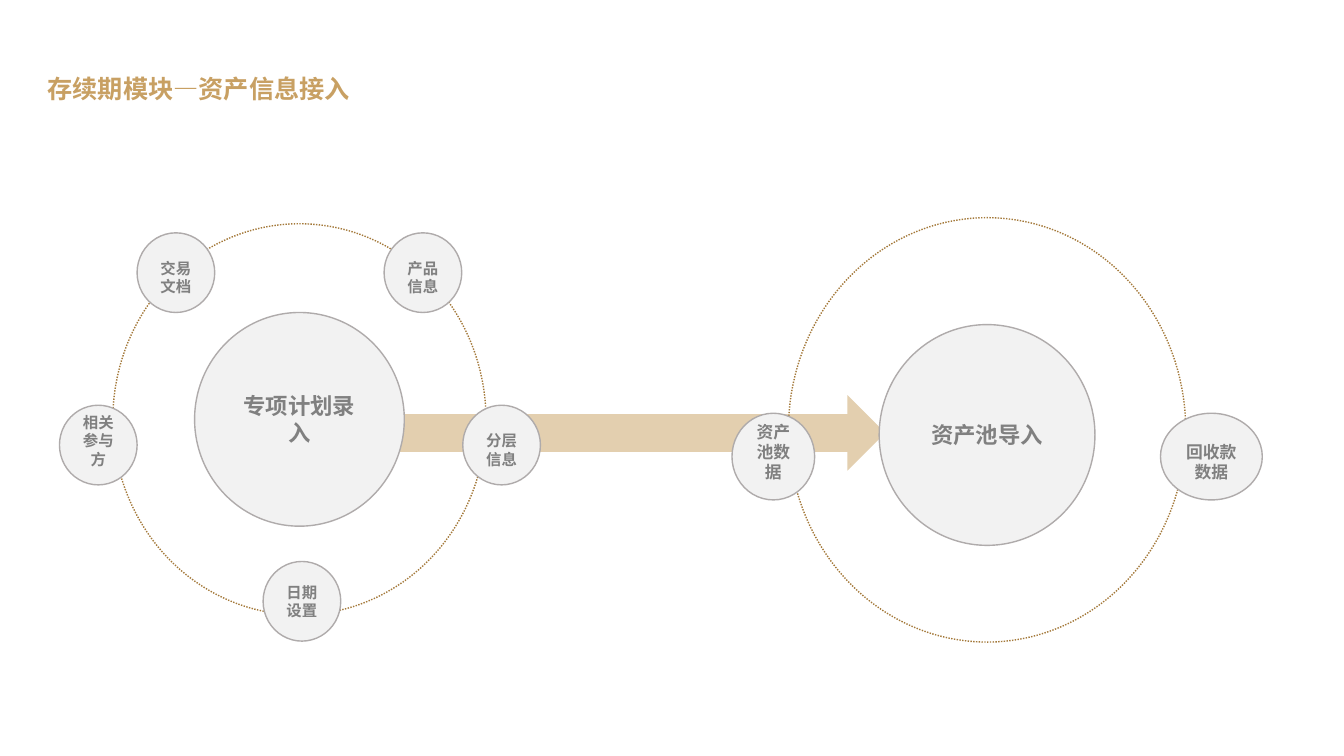
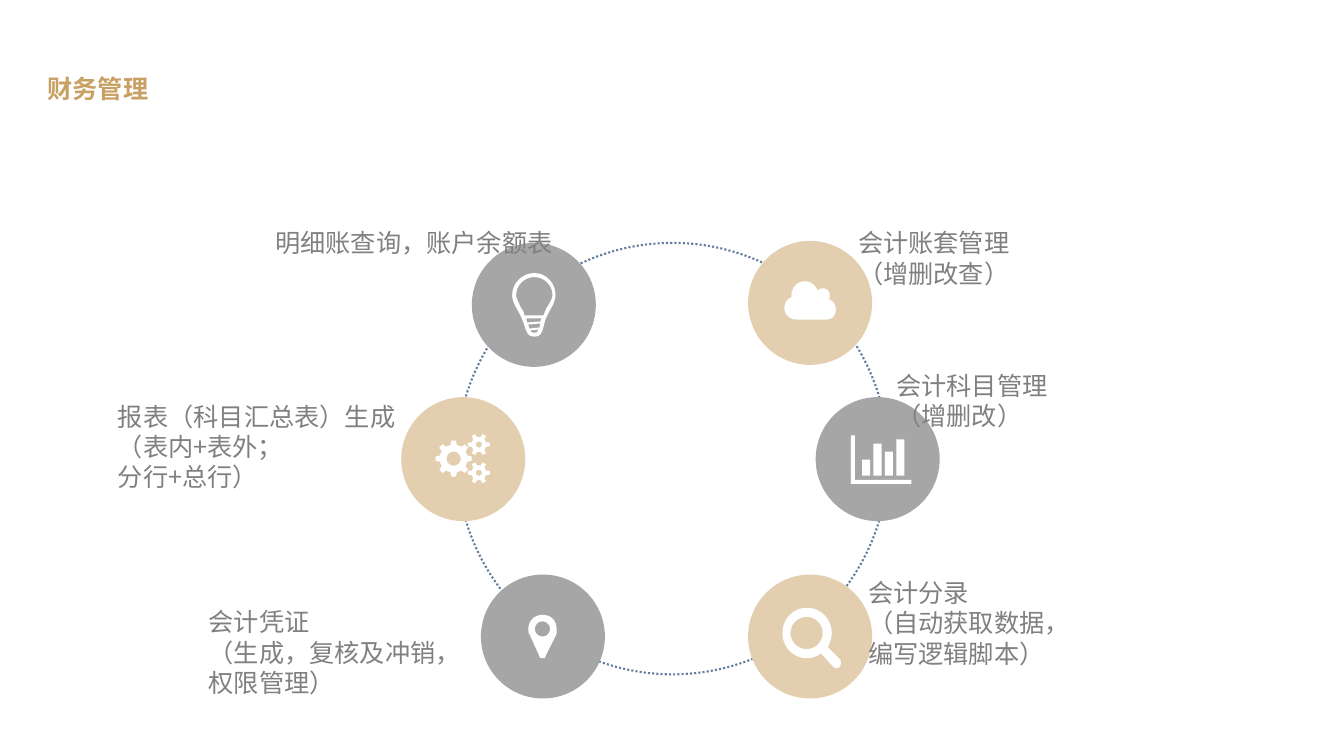
import math

import lxml.etree
import pptx
import pptx.dml.color
import pptx.enum.dml
import pptx.enum.shapes
import pptx.enum.text
import pptx.oxml.ns
import pptx.util

PX = 9144
FONT = "Noto Sans CJK SC"
GOLD, SAND, BRONZE, BLUE = "C8A063", "E3CFAF", "A4793A", "657D9D"
TEXT, GREY, PALE, EDGE, WHITE = "808080", "A6A6A6", "F2F2F2", "AFABAB", "FFFFFF"
DISC = 123
SHAPE = pptx.enum.shapes.MSO_SHAPE
ANCHOR = pptx.enum.text.MSO_ANCHOR
ALIGN = pptx.enum.text.PP_ALIGN
AUTO = pptx.enum.text.MSO_AUTO_SIZE


def px(*values):
    """Turn pixel lengths into EMU."""
    return [pptx.util.Emu(round(v * PX)) for v in values]


def rgb(color):
    """Turn a hex string into a colour."""
    return pptx.dml.color.RGBColor.from_string(color)


def write(tf, text, size, color, bold=False, align=ALIGN.LEFT):
    """Fill a text frame and format every run."""
    tf.text = text
    for p in tf.paragraphs:
        p.alignment = align
        for r in p.runs:
            r.font.name = FONT
            r.font.size = pptx.util.Pt(size)
            r.font.bold = bold
            r.font.color.rgb = rgb(color)
            ea = lxml.etree.SubElement(r._r.get_or_add_rPr(), pptx.oxml.ns.qn("a:ea"))
            ea.set("typeface", FONT)


def paint(sp, fill=None, line=None, width=1, dotted=False):
    """Set the fill and outline of a shape and drop its shadow."""
    sp.shadow.inherit = False
    if fill:
        sp.fill.solid()
        sp.fill.fore_color.rgb = rgb(fill)
    else:
        sp.fill.background()
    if line:
        sp.line.color.rgb = rgb(line)
        sp.line.width = pptx.util.Pt(width)
        if dotted:
            sp.line.dash_style = pptx.enum.dml.MSO_LINE.ROUND_DOT
    else:
        sp.line.fill.background()


def add_shape(shapes, kind, box, **style):
    """Add a painted preset shape."""
    sp = shapes.add_shape(kind, *px(*box))
    paint(sp, **style)
    return sp


def titled_slide(prs, title):
    """Add a title-only slide with the shared title style."""
    s = prs.slides.add_slide(prs.slide_layouts[5])
    sp = s.shapes.title
    sp.left, sp.top, sp.width, sp.height = px(37, 63, 1271, 45)
    tf = sp.text_frame
    write(tf, title, 18, GOLD, bold=True)
    tf.word_wrap = True
    tf.auto_size = AUTO.NONE
    tf.vertical_anchor = ANCHOR.TOP
    tf.paragraphs[0].line_spacing = 1.15
    return s


def bubble(shapes, box, text, size, anchor):
    """Add a pale labelled circle."""
    sp = add_shape(shapes, SHAPE.OVAL, box, fill=PALE, line=EDGE)
    write(sp.text_frame, text, size, TEXT, bold=True, align=ALIGN.CENTER)
    sp.text_frame.word_wrap = True
    sp.text_frame.vertical_anchor = anchor


def hub(s, box, core, core_text, satellites, size):
    """Draw a dotted ring with a core circle and satellites around it."""
    x, y = box[:2]
    shapes = s.shapes.add_group_shape().shapes
    add_shape(shapes, SHAPE.OVAL, box, line=BRONZE, dotted=True)
    parts = [(core_text, core, 16, ANCHOR.MIDDLE)]
    parts += [(text, place, size, anchor) for text, place, anchor in satellites]
    for text, (dx, dy, w, h), pt, anchor in parts:
        bubble(shapes, (x + dx, y + dy, w, h), text, pt, anchor)


def outline(start, *segments):
    """Trace points along lines (2 numbers) and Bézier curves (6 numbers)."""
    points = [start]
    for seg in segments:
        if len(seg) == 2:
            points.append(seg)
            continue
        knots = [points[-1], seg[:2], seg[2:4], seg[4:]]
        for step in range(1, 11):
            t = step / 10
            weights = ((1 - t) ** 3, 3 * t * (1 - t) ** 2, 3 * t * t * (1 - t), t ** 3)
            points.append(tuple(sum(w * k[i] for w, k in zip(weights, knots)) for i in (0, 1)))
    return points


def polar(cx, cy, r, angle):
    """Return the point at an angle on a circle."""
    return cx + r * math.cos(angle), cy + r * math.sin(angle)


def circle(cx, cy, r):
    """Trace a circle."""
    return [polar(cx, cy, r, math.tau * i / 48) for i in range(48)]


def gear(cx, cy, r, root, hole, teeth):
    """Trace a cog wheel and its hole."""
    pitch = math.tau / teeth
    profile = ((-0.28, root), (-0.16, r), (0.16, r), (0.28, root))
    rim = [polar(cx, cy, radius, (i + turn) * pitch)
           for i in range(teeth) for turn, radius in profile]
    return [rim, circle(cx, cy, hole)]


def bulb():
    """Trace a light bulb."""
    glass = outline((62, 30), (50, 30, 40, 40, 40, 52), (40, 60, 47, 68, 50, 76),
                    (54, 86, 54, 93, 62, 93), (70, 93, 70, 87, 73, 76),
                    (76, 68, 83, 60, 83, 52), (83, 40, 74, 30, 62, 30))
    inside = outline((71, 72), (52, 72), (52, 70, 51, 67, 49, 65), (47, 60, 44, 55, 44, 52),
                     (44, 42, 52, 34, 62, 34), (72, 34, 80, 42, 80, 52),
                     (80, 55, 77, 60, 74, 65), (73, 67, 72, 70, 71, 72))
    threads = [[(55, 79), (54, 75), (69, 75), (68, 78)],
               [(57, 85), (56, 81), (68, 80), (67, 84)],
               outline((62, 89), (60, 89, 59, 89, 58, 87), (66, 86), (65, 89, 64, 89, 62, 89))]
    return [glass, inside, *threads]


def pin():
    """Trace a map pin."""
    drop = outline((75, 59), (64, 81), (64, 83, 63, 83, 61, 83), (60, 83, 58, 83, 58, 81),
                   (48, 59), (47, 58, 47, 56, 47, 54), (47, 46, 53, 40, 61, 40),
                   (70, 40, 75, 46, 75, 54), (75, 56, 75, 58, 75, 59))
    return [drop, circle(61, 54, 7.5)]


def cloud():
    """Trace a cloud."""
    return [outline((78, 78), (48, 78), (41, 78, 36, 73, 36, 66), (36, 62, 39, 57, 43, 56),
                    (43, 54), (43, 46, 49, 40, 56, 40), (62, 40, 67, 44, 69, 49),
                    (71, 48, 72, 47, 74, 47), (78, 47, 81, 50, 81, 54),
                    (81, 56, 81, 57, 80, 58), (84, 59, 87, 63, 87, 68),
                    (87, 74, 83, 78, 78, 78))]


def gears():
    """Trace one large and two small cog wheels."""
    wheels = [gear(52, 61, 18, 14, 7, 8)]
    wheels += [gear(77, cy, 11, 7.5, 3, 6) for cy in (47, 75)]
    return sum(wheels, [])


def magnifier():
    """Trace a magnifying glass."""
    body = outline((88, 93), (86, 93, 85, 92, 84, 91), (72, 78), (69, 81, 64, 83, 58, 83),
                   (45, 83, 34, 72, 34, 58), (34, 44, 45, 33, 58, 33),
                   (72, 33, 83, 44, 83, 58), (83, 63, 81, 68, 79, 72), (91, 84),
                   (92, 85, 92, 87, 92, 88), (92, 91, 90, 93, 88, 93))
    return [body, circle(58, 58, 16)]


def bars():
    """Trace a bar chart with its axes."""
    axes = [(95, 86), (35, 86), (35, 38), (39, 38), (39, 82), (95, 82)]
    columns = []
    for i, top in enumerate((62, 46, 54, 42)):
        x = 46 + 34 * i / 3
        columns.append([(x, 78), (x, top), (x + 8, top), (x + 8, 78)])
    return [axes, *columns]


def icon_disc(s, x, y, color, contours):
    """Draw a filled disc carrying a white icon."""
    shapes = s.shapes.add_group_shape().shapes
    add_shape(shapes, SHAPE.OVAL, (x, y, DISC, DISC), fill=color)
    builder = None
    for contour in contours:
        first, *rest = [px(x + dx, y + dy) for dx, dy in contour]
        if builder is None:
            builder = shapes.build_freeform(*first, scale=1.0)
        else:
            builder.move_to(*first)
        builder.add_line_segments(rest, close=True)
    paint(builder.convert_to_shape(), fill=WHITE)


def caption(s, x, y, w, text):
    """Add an unwrapped caption with no margins."""
    lines = text.count("\n") + 1
    tf = s.shapes.add_textbox(*px(x, y, w, 30 * lines)).text_frame
    tf.margin_left = tf.margin_right = tf.margin_top = tf.margin_bottom = 0
    write(tf, text, 18, TEXT)
    tf.word_wrap = False
    tf.auto_size = AUTO.SHAPE_TO_FIT_TEXT


def asset_slide(prs):
    """Build the slide on bringing in asset information."""
    s = titled_slide(prs, "存续期模块—资产信息接入")
    add_shape(s.shapes, SHAPE.RIGHT_ARROW, (390, 392, 488, 75), fill=SAND)
    small = (77, 79)
    hub(s, (112, 222, 370, 388), (81, 88, 208, 212), "专项计划录入", [
        ("产品信息", (269, 9, *small), ANCHOR.BOTTOM),
        ("分层信息", (347, 180, *small), ANCHOR.BOTTOM),
        ("日期设置", (149, 335, *small), ANCHOR.MIDDLE),
        ("交易文档", (24, 9, *small), ANCHOR.BOTTOM),
        ("相关参与方", (-53, 180, *small), ANCHOR.BOTTOM),
    ], 11)
    hub(s, (782, 216, 394, 421), (90, 106, 214, 219), "资产池导入", [
        ("回收款数据", (369, 194, 101, 86), ANCHOR.BOTTOM),
        ("资产池数据", (-56, 194, 82, 86), ANCHOR.BOTTOM),
    ], 12)


def finance_slide(prs):
    """Build the slide on financial management."""
    s = titled_slide(prs, "财务管理")
    add_shape(s.shapes, SHAPE.OVAL, (453, 241, 428, 428), line=BLUE, width=1.5, dotted=True)
    for x, y, color, icon in (
        (398, 394, SAND, gears),
        (477, 570, GREY, pin),
        (742, 239, SAND, cloud),
        (809, 394, GREY, bars),
        (742, 570, SAND, magnifier),
        (468, 241, GREY, bulb),
    ):
        icon_disc(s, x, y, color, icon())
    for x, y, w, text in (
        (861, 573, 202, "会计分录\n（自动获取数据，\n编写逻辑脚本）"),
        (117, 398, 278, "报表（科目汇总表）生成\n（表内+表外；\n分行+总行）"),
        (851, 226, 151, "会计账套管理\n（增删改查）"),
        (273, 226, 278, "明细账查询，账户余额表"),
        (207, 602, 252, "会计凭证\n（生成，复核及冲销，\n权限管理）"),
        (889, 367, 151, "会计科目管理\n（增删改）"),
    ):
        caption(s, x, y, w, text)


def main():
    """Build and save the presentation."""
    prs = pptx.Presentation()
    prs.slide_width, prs.slide_height = px(1333, 750)
    asset_slide(prs)
    finance_slide(prs)
    prs.save("out.pptx")


if __name__ == "__main__":
    main()
